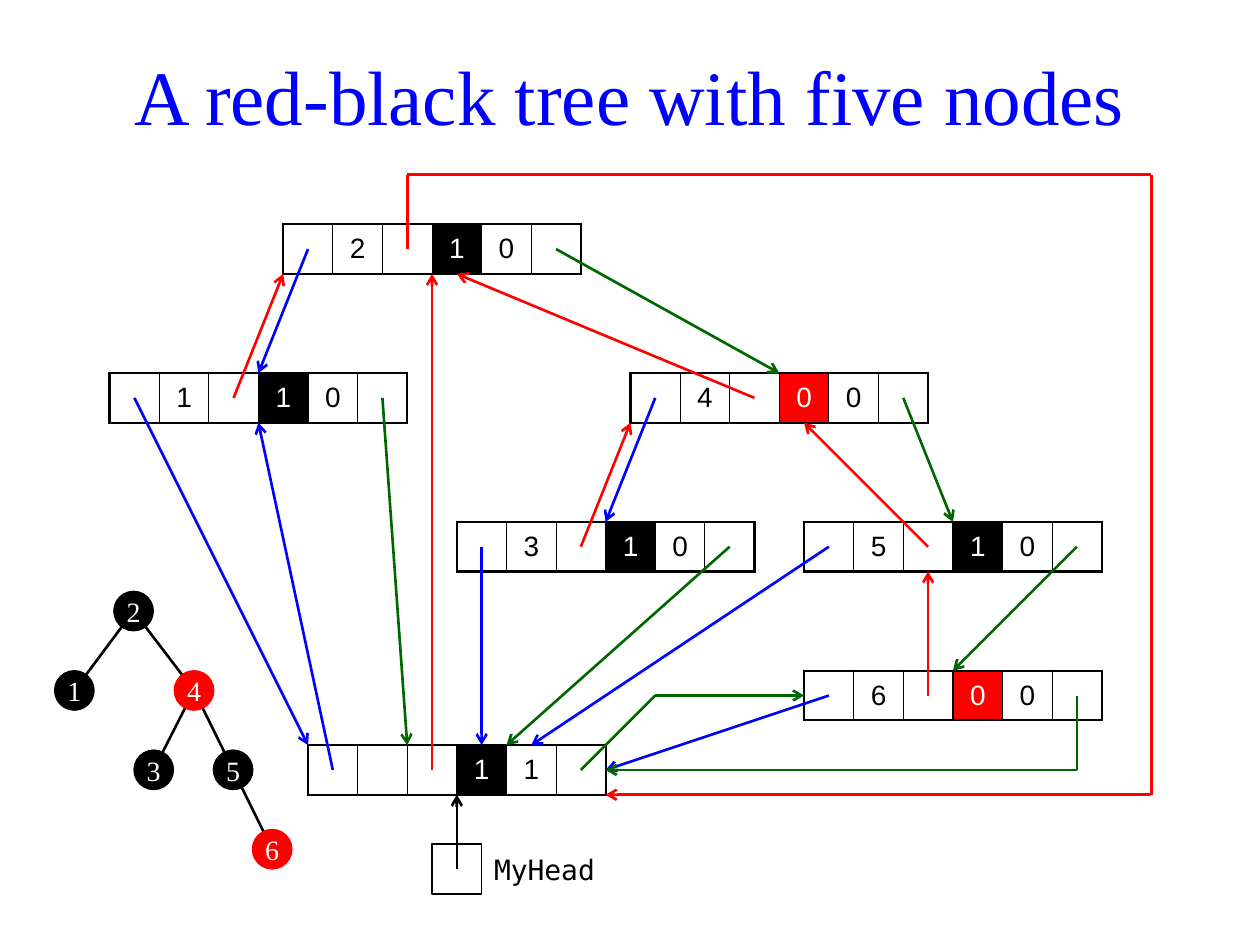
from lxml.etree import SubElement
from pptx import Presentation
from pptx.dml.color import RGBColor
from pptx.enum.shapes import MSO_CONNECTOR, MSO_SHAPE
from pptx.enum.text import MSO_ANCHOR, PP_ALIGN
from pptx.oxml import parse_xml
from pptx.oxml.ns import nsdecls, qn
from pptx.util import Inches, Pt

COLORS = {"black": "000000", "white": "FFFFFF", "red": "FF0000",
          "blue": "0000FF", "green": "006600"}
TITLE = "A red-black tree with five nodes"
HEAD_LABEL = "MyHead"

CELL = 1 / 2.54
LEFT, TOP = 0.87, 1.78

RECORDS = {
    "2": (3.5, 0, ["", "2", "", "1", "0", ""], "black"),
    "1": (0, 3, ["", "1", "", "1", "0", ""], "black"),
    "4": (10.5, 3, ["", "4", "", "0", "0", ""], "red"),
    "3": (7, 6, ["", "3", "", "1", "0", ""], "black"),
    "5": (14, 6, ["", "5", "", "1", "0", ""], "black"),
    "6": (14, 9, ["", "6", "", "0", "0", ""], "red"),
    "head": (4, 10.5, ["", "", "", "1", "1", ""], "black"),
}
FIELDS = {"left": (0.5, "blue"), "parent": (2.5, "red"), "right": (5.5, "green")}
POINTERS = [
    ("2", "left", [("1", 3, 0)]),
    ("2", "right", [("4", 3, 0)]),
    ("2", "parent", [("2", 2.5, -1), ("2", 17.5, -1), ("2", 17.5, 11.5), ("head", 6, 1)]),
    ("1", "left", [("head", 0, 0)]),
    ("1", "right", [("head", 2, 0)]),
    ("1", "parent", [("2", 0, 1)]),
    ("4", "left", [("3", 3, 0)]),
    ("4", "right", [("5", 3, 0)]),
    ("4", "parent", [("2", 3.5, 1)]),
    ("3", "left", [("head", 3.5, 0)]),
    ("3", "right", [("head", 4, 0)]),
    ("3", "parent", [("4", 0, 1)]),
    ("5", "left", [("head", 4.5, 0)]),
    ("5", "right", [("6", 3, 0)]),
    ("5", "parent", [("4", 3.5, 1)]),
    ("6", "left", [("head", 6, 0.5)]),
    ("6", "right", [("6", 5.5, 2), ("head", 6, 0.5)]),
    ("6", "parent", [("5", 2.5, 1)]),
    ("head", "left", [("1", 3, 1)]),
    ("head", "right", [("head", 7, -1), ("6", 0, 0.5)]),
    ("head", "parent", [("2", 3, 1)]),
]

TREE = {"2": (1.06, 0, "black"), "1": (0.59, 1, "black"), "4": (1.54, 1, "red"),
        "3": (1.22, 2, "black"), "5": (1.85, 2, "black"), "6": (2.16, 3, "red")}
EDGES = ["21", "24", "43", "45", "56"]
TREE_TOP, TREE_STEP, DIAMETER = 4.85, 0.63, 0.31


def rgb(name):
    return RGBColor.from_string(COLORS[name])


def write(tf, text, font="Arial", size=16, color="black", align=PP_ALIGN.CENTER, spacing=None):
    p = tf.paragraphs[0]
    p.alignment = align
    p.line_spacing = spacing
    r = p.add_run()
    r.text = text
    r.font.name = font
    r.font.size = Pt(size)
    r.font.color.rgb = rgb(color)


def grid_point(record, col, row):
    x, y = RECORDS[record][:2]
    return LEFT + (x + col) * CELL, TOP + (y + row) * CELL


def tree_point(node):
    x, level = TREE[node][:2]
    return x, TREE_TOP + level * TREE_STEP


def add_line(s, start, end, color="black", arrow=False):
    c = s.shapes.add_connector(MSO_CONNECTOR.STRAIGHT, *map(Inches, (*start, *end)))
    c.line.color.rgb = rgb(color)
    c.line.width = Pt(1.5)
    if arrow:
        SubElement(c.line._get_or_add_ln(), qn("a:tailEnd"), type="arrow")
    SubElement(c._element.spPr, qn("a:effectLst"))


def add_shape(s, kind, x, y, w, h, fill, line):
    sp = s.shapes.add_shape(kind, *map(Inches, (x, y, w, h)))
    sp.shadow.inherit = False
    sp.fill.solid()
    sp.fill.fore_color.rgb = rgb(fill)
    sp.line.color.rgb = rgb(line)
    sp.line.width = Pt(1)
    return sp


def set_borders(cell, widths):
    tcPr = cell._tc.get_or_add_tcPr()
    for side, width in zip("LRTB", widths):
        tcPr.append(parse_xml(
            f'<a:ln{side} {nsdecls("a")} w="{Pt(width)}"><a:solidFill>'
            f'<a:srgbClr val="{COLORS["black"]}"/></a:solidFill></a:ln{side}>'))


def add_record(s, name):
    values, color = RECORDS[name][2:]
    n = len(values)
    x, y = grid_point(name, 0, 0)
    table = s.shapes.add_table(1, n, *map(Inches, (x, y, n * CELL, CELL))).table
    table.first_row = table.horz_banding = False
    for i, value in enumerate(values):
        cell = table.cell(0, i)
        cell.margin_left = cell.margin_right = cell.margin_top = cell.margin_bottom = 0
        cell.vertical_anchor = MSO_ANCHOR.MIDDLE
        set_borders(cell, (0.75 if i else 1.5, 0.75 if i < n - 1 else 1.5, 1.5, 1.5))
        colored = i == 3
        if colored:
            cell.fill.solid()
            cell.fill.fore_color.rgb = rgb(color)
        else:
            cell.fill.background()
        if value:
            write(cell.text_frame, value, color="white" if colored else "black")


def add_head_pointer(s):
    x, y = grid_point("head", 2.5, 2)
    add_shape(s, MSO_SHAPE.RECTANGLE, x, y, CELL, CELL, "white", "black")
    tb = s.shapes.add_textbox(*map(Inches, (x + CELL, y, 3 * CELL, CELL)))
    tf = tb.text_frame
    tf.word_wrap = True
    tf.vertical_anchor = MSO_ANCHOR.MIDDLE
    write(tf, HEAD_LABEL, font="DejaVu Sans Mono", align=PP_ALIGN.LEFT)
    add_line(s, grid_point("head", 3, 2.5), grid_point("head", 3, 1), arrow=True)


def add_tree(s):
    for parent, child in EDGES:
        add_line(s, tree_point(parent), tree_point(child))
    for node, (_, _, color) in TREE.items():
        x, y = tree_point(node)
        sp = add_shape(s, MSO_SHAPE.OVAL, x - DIAMETER / 2, y - DIAMETER / 2,
                       DIAMETER, DIAMETER, color, color)
        tf = sp.text_frame
        tf.margin_left = tf.margin_right = tf.margin_top = tf.margin_bottom = 0
        tf.vertical_anchor = MSO_ANCHOR.MIDDLE
        write(tf, node, font="Times New Roman", color="white")


def main():
    prs = Presentation()
    prs.slide_width, prs.slide_height = Inches(10), Inches(7.5)
    s = prs.slides.add_slide(prs.slide_layouts[5])
    title = s.shapes.title
    title.left, title.top, title.width, title.height = map(Inches, (0.47, 0.21, 9.06, 1.18))
    title.text_frame.vertical_anchor = MSO_ANCHOR.MIDDLE
    write(title.text_frame, TITLE, font="Times New Roman", size=44, color="blue", spacing=0.9)

    for name in RECORDS:
        add_record(s, name)
    for record, field, stops in POINTERS:
        col, color = FIELDS[field]
        points = [grid_point(record, col, 0.5)] + [grid_point(*stop) for stop in stops]
        for i, (start, end) in enumerate(zip(points, points[1:]), 1):
            add_line(s, start, end, color, arrow=i == len(stops))
    add_head_pointer(s)
    add_tree(s)
    prs.save("out.pptx")


if __name__ == "__main__":
    main()
